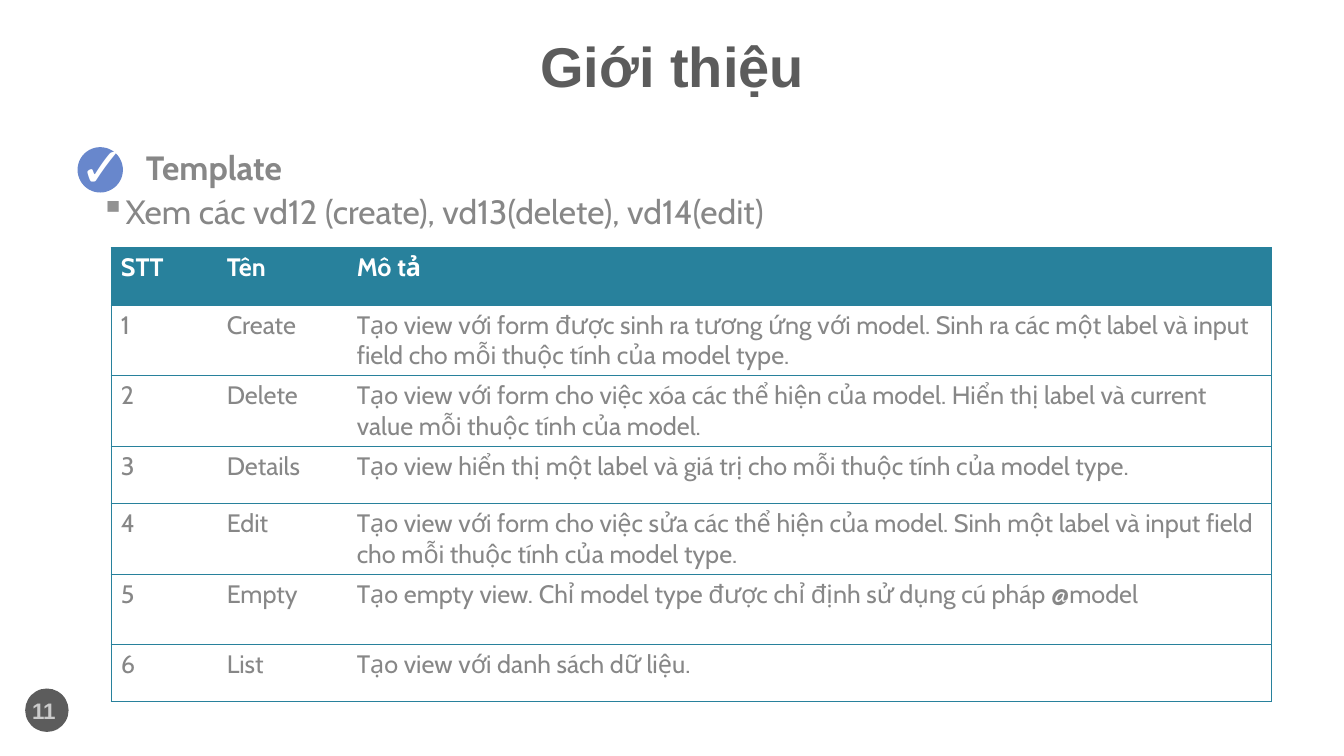
from dataclasses import dataclass
from typing import NamedTuple

from lxml import etree
from pptx import Presentation
from pptx import util as u
from pptx.dml import color
from pptx.enum import shapes, text
from pptx.oxml import ns


@dataclass(frozen=True)
class Theme:
    heading_font: str = "Arial"
    body_font: str = "Cabin"
    dark: str = "5C5C5C"
    gray: str = "878787"
    bullet: str = "929292"
    pale: str = "CBCBCB"
    white: str = "FFFFFF"
    blue: str = "6887CC"
    teal: str = "28819C"
    title_size: float = 40
    body_size: float = 24
    table_size: float = 18
    number_size: float = 16


class Box(NamedTuple):
    left: float
    top: float
    width: float
    height: float

    def lengths(self) -> list:
        return [u.Pt(value) for value in self]


class TemplateRow(NamedTuple):
    number: str
    name: str
    description: str
    height: float


class Disc(NamedTuple):
    box: Box
    fill: str


THEME = Theme()
SHORT_ROW, TALL_ROW = 40.95, 50.35
COLUMN_WIDTHS = (75.6, 92.9, 660.2)
TABLE_LEFT, TABLE_TOP = 79.2, 176.8

NUMBER_DISC = Disc(Box(18, 491.8, 31, 31), THEME.dark)
CHECK_DISC = Disc(Box(55.4, 105.1, 32.4, 32.4), THEME.blue)

ROWS = (
    TemplateRow("STT", "Tên", "Mô tả", SHORT_ROW),
    TemplateRow("1", "Create", "Tạo view với form được sinh ra tương ứng với model. "
                "Sinh ra các một label và input field cho mỗi thuộc tính của model type.", TALL_ROW),
    TemplateRow("2", "Delete", "Tạo view với form cho việc xóa các thể hiện của model. "
                "Hiển thị label và current value mỗi thuộc tính của model.", TALL_ROW),
    TemplateRow("3", "Details", "Tạo view hiển thị một label và giá trị cho mỗi thuộc tính "
                "của model type.", SHORT_ROW),
    TemplateRow("4", "Edit", "Tạo view với form cho việc sửa các thể hiện của model. "
                "Sinh một label và input field cho mỗi thuộc tính của model type.", TALL_ROW),
    TemplateRow("5", "Empty", "Tạo empty view. Chỉ model type được chỉ định sử dụng "
                "cú pháp @model", TALL_ROW),
    TemplateRow("6", "List", "Tạo view với danh sách dữ liệu.", SHORT_ROW),
)


def rgb(value: str) -> color.RGBColor:
    return color.RGBColor.from_string(value)


def write(frame, content: str, *, size: float, ink: str, font: str = THEME.body_font,
          bold: bool = False, align=text.PP_ALIGN.LEFT):
    """Put one formatted run in the frame and return its paragraph."""
    paragraph = frame.paragraphs[0]
    paragraph.alignment = align
    run = paragraph.add_run()
    run.text = content
    run.font.name = font
    run.font.size = u.Pt(size)
    run.font.bold = bold
    run.font.color.rgb = rgb(ink)
    return paragraph


def add_text(slide, box: Box, content: str, *, anchor=text.MSO_ANCHOR.TOP,
             wrap: bool = True, **text_format):
    frame = slide.shapes.add_textbox(*box.lengths()).text_frame
    frame.word_wrap = wrap
    frame.vertical_anchor = anchor
    return write(frame, content, **text_format)


def add_disc(slide, disc: Disc) -> None:
    shape = slide.shapes.add_shape(shapes.MSO_SHAPE.OVAL, *disc.box.lengths())
    shape.shadow.inherit = False
    shape.fill.solid()
    shape.fill.fore_color.rgb = rgb(disc.fill)
    shape.line.fill.background()


def add_bullet(paragraph, mark: str, indent: float) -> None:
    properties = paragraph._p.get_or_add_pPr()
    properties.set("marL", str(u.Pt(indent)))
    properties.set("indent", str(-u.Pt(indent)))
    bullet_color = etree.SubElement(properties, ns.qn("a:buClr"))
    etree.SubElement(bullet_color, ns.qn("a:srgbClr"), val=THEME.bullet)
    etree.SubElement(properties, ns.qn("a:buChar"), char=mark)


def set_borders(cell, visible: str) -> None:
    """Draw the sides named in visible (letters of LRTB) and clear the others."""
    properties = cell._tc.get_or_add_tcPr()
    for index, side in enumerate("LRTB"):
        line = etree.Element(ns.qn(f"a:ln{side}"), w=str(u.Pt(0.5)))
        if side in visible:
            fill = etree.SubElement(line, ns.qn("a:solidFill"))
            etree.SubElement(fill, ns.qn("a:srgbClr"), val=THEME.teal)
        else:
            etree.SubElement(line, ns.qn("a:noFill"))
        properties.insert(index, line)


def add_template_table(slide) -> None:
    box = Box(TABLE_LEFT, TABLE_TOP, sum(COLUMN_WIDTHS), sum(row.height for row in ROWS))
    table = slide.shapes.add_table(len(ROWS), len(COLUMN_WIDTHS), *box.lengths()).table
    table.first_row = table.horz_banding = False
    for column, width in zip(table.columns, COLUMN_WIDTHS):
        column.width = u.Pt(width)
    last_column = len(COLUMN_WIDTHS) - 1
    for row_index, row in enumerate(ROWS):
        header = row_index == 0
        table.rows[row_index].height = u.Pt(row.height)
        for column_index, content in enumerate((row.number, row.name, row.description)):
            cell = table.cell(row_index, column_index)
            write(cell.text_frame, content, size=THEME.table_size, bold=header,
                  ink=THEME.white if header else THEME.gray)
            if header:
                cell.fill.solid()
                cell.fill.fore_color.rgb = rgb(THEME.teal)
            else:
                cell.fill.background()
            sides = {0: "L", last_column: "R"}.get(column_index, "")
            set_borders(cell, "TB" + sides)


def main() -> None:
    presentation = Presentation()
    presentation.slide_width, presentation.slide_height = u.Pt(960), u.Pt(540)
    slide = presentation.slides.add_slide(presentation.slide_layouts[6])
    middle, center = text.MSO_ANCHOR.MIDDLE, text.PP_ALIGN.CENTER

    add_disc(slide, NUMBER_DISC)
    add_text(slide, Box(13.7, 493.2, 35.3, 28.8), "11", anchor=middle, align=center,
             font=THEME.heading_font, size=THEME.number_size, ink=THEME.pale, bold=True)

    title = add_text(slide, Box(66.2, 23.8, 828, 51.8), "Giới thiệu", anchor=middle,
                     align=center, font=THEME.heading_font, size=THEME.title_size,
                     ink=THEME.dark, bold=True)
    title.line_spacing = 0.9

    heading = add_text(slide, Box(97.2, 101.5, 724.3, 36), "Template",
                       size=THEME.body_size, ink=THEME.gray, bold=True)
    heading.space_after = u.Pt(6)

    add_disc(slide, CHECK_DISC)
    add_text(slide, Box(46.1, 90, 54.7, 55.4), "✓", anchor=middle, align=center,
             wrap=False, size=THEME.title_size, ink=THEME.white)

    add_template_table(slide)

    examples = add_text(slide, Box(64.8, 132.5, 895.2, 36),
                        "Xem các vd12 (create), vd13(delete), vd14(edit)",
                        size=THEME.body_size, ink=THEME.gray)
    examples.space_after = u.Pt(6)
    add_bullet(examples, "▪", 13.7)

    presentation.save("out.pptx")


if __name__ == "__main__":
    main()
